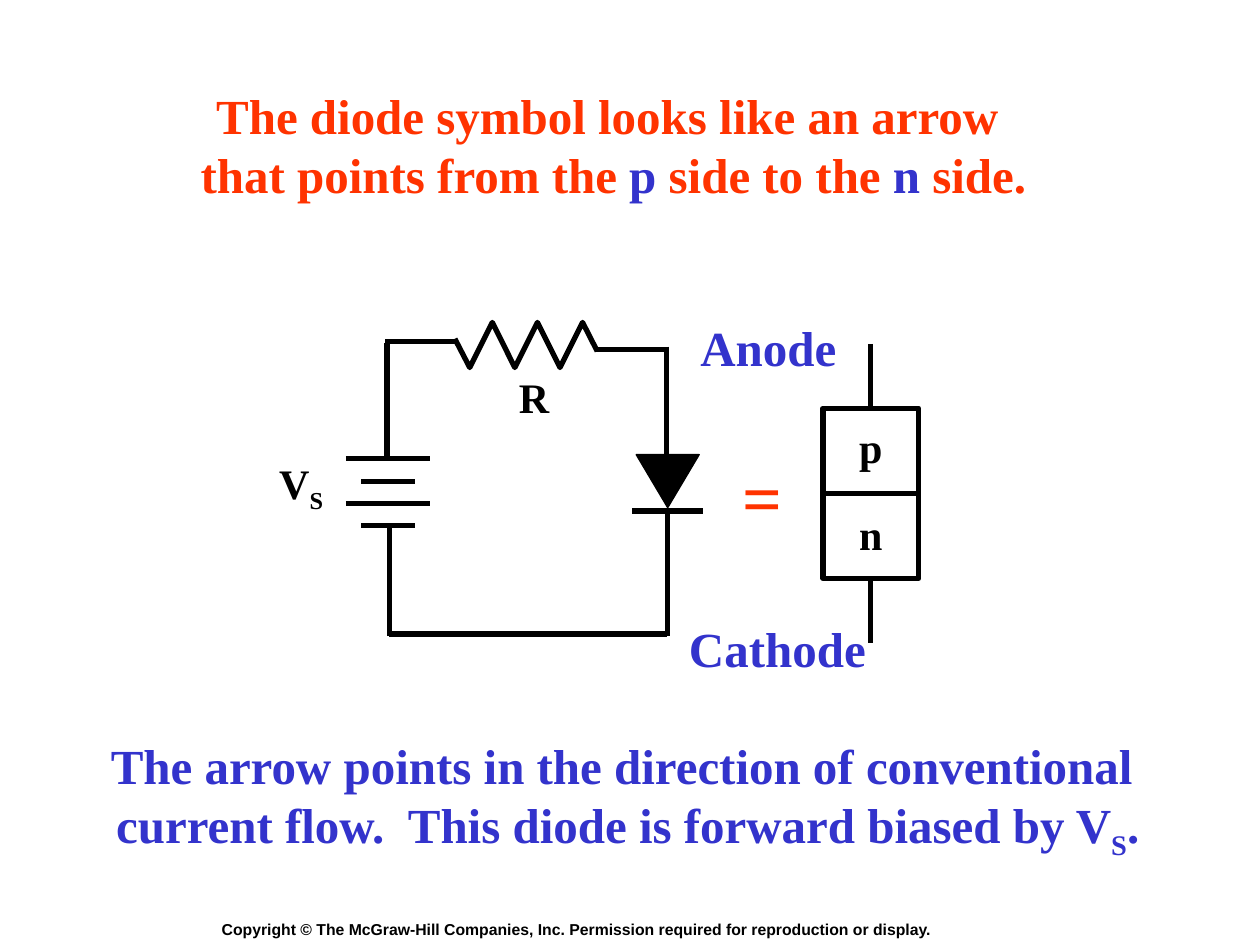
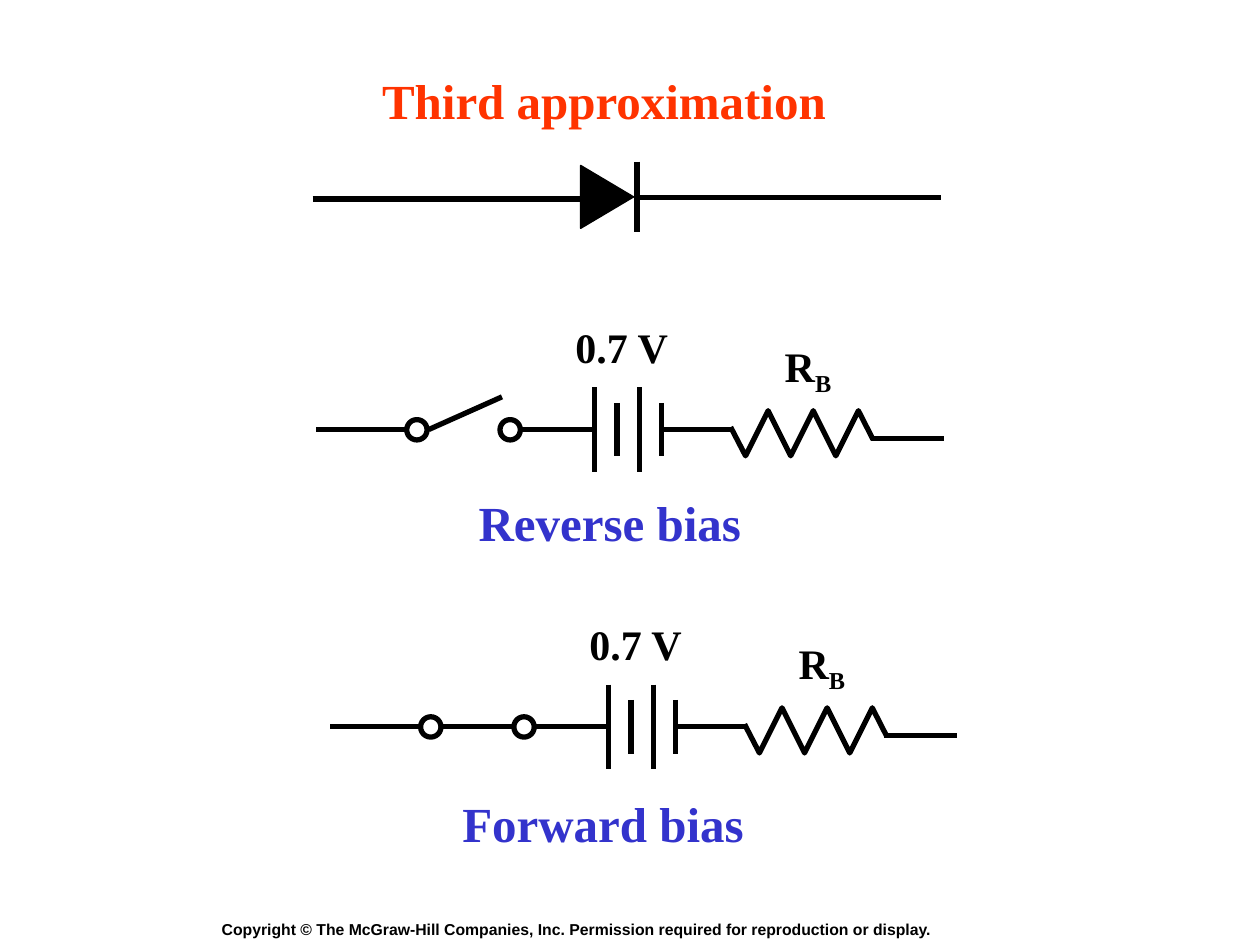
from dataclasses import dataclass

from lxml import etree
from pptx import Presentation
from pptx import util as u
from pptx.dml.color import RGBColor
from pptx.enum import shapes, text
from pptx.oxml.ns import qn


@dataclass(frozen=True)
class Theme:
    ink: RGBColor = RGBColor(0, 0, 0)
    red: RGBColor = RGBColor(0xFF, 0x33, 0x00)
    blue: RGBColor = RGBColor(0x33, 0x33, 0xCC)
    serif: str = "Times New Roman"
    sans: str = "Arial"
    note: int = 9
    label: int = 24
    head: int = 28
    sign: int = 40
    wire: float = 3
    edge: float = 0.75


T = Theme()
SUB = "sub"
LEFT, MID = text.PP_ALIGN.LEFT, text.PP_ALIGN.CENTER


def place(shape, box):
    shape.left, shape.top, shape.width, shape.height = map(u.Cm, box)


def write(frame, lines, size, color, font=T.serif, align=LEFT):
    """Fill a frame; a run is a string or a pair of string and SUB or colour."""
    frame.word_wrap = False
    frame.auto_size = text.MSO_AUTO_SIZE.NONE
    frame.vertical_anchor = text.MSO_ANCHOR.TOP
    for i, line in enumerate(lines):
        par = frame.add_paragraph() if i else frame.paragraphs[0]
        par.alignment = align
        for part in line:
            words, mark = (part, None) if isinstance(part, str) else part
            run = par.add_run()
            run.text = words
            run.font.name, run.font.size, run.font.bold = font, u.Pt(size), True
            run.font.color.rgb = color if mark in (None, SUB) else mark
            if mark == SUB:
                run._r.get_or_add_rPr().set("baseline", "-25000")


def label(slide, box, *runs, size=T.label, color=T.ink, font=T.serif):
    frame = slide.shapes.add_textbox(*map(u.Cm, box)).text_frame
    write(frame, [runs], size, color, font)


def wire(slide, x1, y1, x2, y2):
    line = slide.shapes.add_connector(
        shapes.MSO_CONNECTOR.STRAIGHT, *map(u.Cm, (x1, y1, x2, y2)))
    line.line.color.rgb = T.ink
    line.line.width = u.Pt(T.wire)
    etree.SubElement(line._element.spPr, qn("a:effectLst"))


def ink(shape, width=T.wire, solid=False):
    shape.shadow.inherit = False
    if solid:
        shape.fill.solid()
        shape.fill.fore_color.rgb = T.ink
    else:
        shape.fill.background()
    shape.line.color.rgb = T.ink
    shape.line.width = u.Pt(width)


def solid(slide, kind, box, **style):
    shape = slide.shapes.add_shape(kind, *map(u.Cm, box))
    ink(shape, **style)
    return shape


def coil(slide, x, y):
    """Draw a resistor zigzag that starts at x, y."""
    peaks = [(0.3 + 0.455 * i, -0.33 if i % 2 else 0.58) for i in range(6)]
    points = [(u.Cm(x + dx), u.Cm(y + dy)) for dx, dy in peaks + [(2.87, 0.25)]]
    path = slide.shapes.build_freeform(u.Cm(x), u.Cm(y))
    path.add_line_segments(points, close=False)
    ink(path.convert_to_shape())


def cell(slide, x, y, flat=False):
    """Draw four plates from the centre of the first; flat ones stack down."""
    for i in range(4):
        half = 0.54 if i % 2 else 0.85
        step = 0.45 * i
        if flat:
            wire(slide, x - half, y + step, x + half, y + step)
        else:
            wire(slide, x + step, y - half, x + step, y + half)


def diode(slide, x, y, down=False):
    """Draw the symbol about the centre of its arrow, which points right or down."""
    arrow = solid(slide, shapes.MSO_SHAPE.ISOSCELES_TRIANGLE,
                  (x - 0.635, y - 0.535, 1.27, 1.07), width=T.edge, solid=True)
    arrow.rotation = 180 if down else 90
    if down:
        wire(slide, x - 0.71, y + 0.6, x + 0.71, y + 0.6)
    else:
        wire(slide, x + 0.6, y - 0.71, x + 0.6, y + 0.71)


def page(deck, box, lines):
    slide = deck.slides.add_slide(deck.slide_layouts[5])
    place(slide.shapes.title, box)
    write(slide.shapes.title.text_frame, lines, T.head, T.red, align=MID)
    label(slide, (4.22, 18.42, 16.51, 0.64),
          "Copyright © The McGraw-Hill Companies, Inc. "
          "Permission required for reproduction or display.",
          size=T.note, font=T.sans)
    return slide


def loop(slide):
    """Draw the source, resistor and diode in a closed circuit."""
    cell(slide, 7.82, 9.25, flat=True)
    coil(slide, 9.17, 6.83)
    diode(slide, 13.46, 9.7, down=True)
    for ends in ((7.85, 10.59, 7.85, 12.83), (7.8, 6.91, 7.8, 9.25),
                 (7.85, 12.78, 13.44, 12.78), (7.77, 6.88, 9.19, 6.88),
                 (13.44, 6.99, 13.44, 9.19), (13.46, 10.34, 13.46, 12.83),
                 (11.99, 7.04, 13.46, 7.04)):
        wire(slide, *ends)
    label(slide, (10.21, 7.37, 1.12, 1.27), "R")
    label(slide, (5.38, 9.09, 1.4, 1.42), "V", ("S", SUB))


def block(slide):
    """Draw the p and n regions with their leads."""
    x, y, wide, high = 16.59, 8.23, 1.93, 3.43
    solid(slide, shapes.MSO_SHAPE.RECTANGLE, (x, y, wide, high))
    wire(slide, x, y + high / 2, x + wide, y + high / 2)
    mid = x + wide / 2
    for top in (y - 1.3, y + high):
        wire(slide, mid, top, mid, top + 1.31)
    for i, name in enumerate("pn"):
        label(slide, (17.07, 8.38 + 1.75 * i, 0.97, 1.27), name)


def model(slide, dx, dy, shut):
    """Draw switch, battery and bulk resistor, moved by dx and dy."""
    y = 8.66 + dy
    for x1, x2 in ((6.38, 8.18), (10.52, 11.99), (13.34, 14.76)):
        wire(slide, x1 + dx, y, x2 + dx, y)
    wire(slide, 17.55 + dx, y + 0.18, 19.02 + dx, y + 0.18)
    for x in (8.2, 10.08):
        solid(slide, shapes.MSO_SHAPE.OVAL, (x + dx, y - 0.2, 0.41, 0.41))
    wire(slide, 8.64 + dx, y, 10.12 + dx, y if shut else y - 0.66)
    cell(slide, 11.99 + dx, y)
    coil(slide, 14.73 + dx, y - 0.05)
    label(slide, (11.35 + dx, 6.35 + dy, 2.39, 1.27), "0.7 V")
    label(slide, (15.57 + dx, 6.73 + dy, 1.45, 1.42), "R", ("B", SUB))


def symbol(deck):
    slide = page(deck, (3.78, 1.6, 17.17, 2.64), [
        ["The diode symbol looks like an arrow "],
        ["that points from the ", ("p", T.blue), " side to the ",
         ("n ", T.blue), "side."]])
    loop(slide)
    block(slide)
    label(slide, (14.71, 9.02, 1.3, 1.96), "=", size=T.sign, color=T.red)
    label(slide, (13.87, 6.27, 3.25, 1.45), "Anode", size=T.head, color=T.blue)
    label(slide, (13.64, 12.34, 4.06, 1.45), "Cathode", size=T.head, color=T.blue)
    note = slide.shapes.add_textbox(*map(u.Cm, (1.96, 14.71, 21.39, 2.79)))
    write(note.text_frame, [
        ["The arrow points in the direction of conventional "],
        ["current flow.  This diode is forward biased by V", ("S", SUB), "."]],
        T.head, T.blue, align=MID)


def third(deck):
    slide = page(deck, (7.44, 1.3, 9.47, 1.45), [["Third approximation"]])
    diode(slide, 12.24, 3.97)
    wire(slide, 6.3, 4.01, 11.71, 4.01)
    wire(slide, 12.83, 3.98, 18.97, 3.98)
    model(slide, 0, 0, shut=False)
    model(slide, 0.28, 5.99, shut=True)
    label(slide, (9.4, 9.8, 5.79, 1.45), "Reverse bias", size=T.head, color=T.blue)
    label(slide, (9.07, 15.88, 6.17, 1.45), "Forward bias", size=T.head, color=T.blue)


def main():
    deck = Presentation()
    deck.slide_width, deck.slide_height = u.Cm(25.4), u.Cm(19.05)
    symbol(deck)
    third(deck)
    deck.save("out.pptx")


if __name__ == "__main__":
    main()
